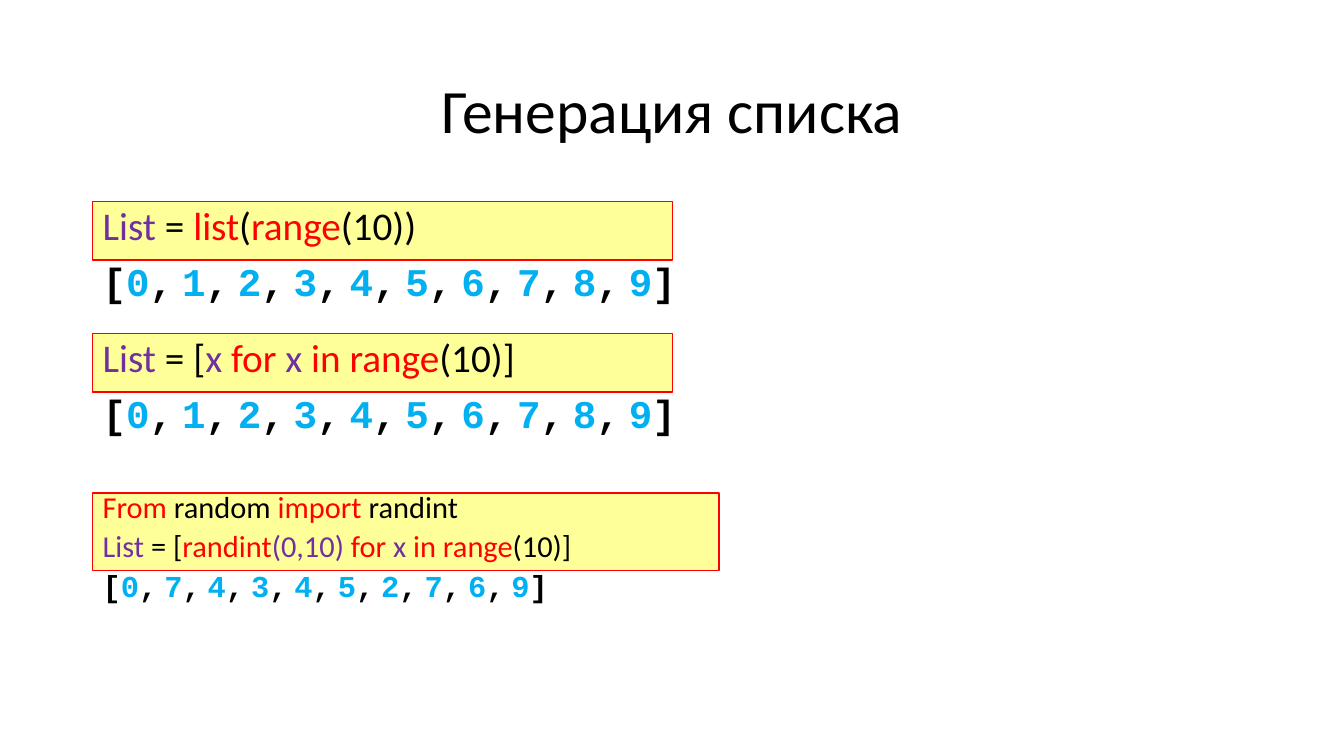
from pptx import Presentation
from pptx.dml.color import RGBColor
from pptx.enum.shapes import MSO_SHAPE as SHAPE
from pptx.enum.text import MSO_ANCHOR as ANCHOR, PP_ALIGN as ALIGN
from pptx.util import Inches, Pt

BLACK, RED, PURPLE, BLUE, YELLOW = "000000", "FF0000", "7030A0", "00B0F0", "FFFF99"
LEFT, WIDTH = 0.92, 11.5


def rgb(color):
    return RGBColor.from_string(color)


def add_text(top, height, lines, size, spacing, before=0, align=ALIGN.LEFT, anchor=ANCHOR.TOP):
    """Add a text box; each line is a list of (text, colour, font, bold) runs."""
    box = s.shapes.add_textbox(Inches(LEFT), Inches(top), Inches(WIDTH), Inches(height))
    tf = box.text_frame
    tf.word_wrap, tf.vertical_anchor = True, anchor
    for i, line in enumerate(lines):
        p = tf.paragraphs[0] if i == 0 else tf.add_paragraph()
        p.alignment, p.line_spacing, p.space_before = align, spacing, Pt(before)
        for text, color, font, bold in line:
            r = p.add_run()
            r.text = text
            for name, value in dict(name=font, size=Pt(size), bold=bold).items():
                setattr(r.font, name, value)
            r.font.color.rgb = rgb(color)


prs = Presentation()
prs.slide_width, prs.slide_height = Inches(13.33), Inches(7.5)
s = prs.slides.add_slide(prs.slide_layouts[6])

add_text(0.4, 1.45, [[("Генерация списка", BLACK, "Calibri", False)]], 44, 0.9,
         align=ALIGN.CENTER, anchor=ANCHOR.MIDDLE)

comprehension_end = [("for ", RED), ("x ", PURPLE), ("in range", RED), ("(10)]", BLACK)]

# top, frame width, frame height, size, line spacing, code lines, printed digits
examples = [
    (2, 5.75, 0.58, 28, 0.9,
     [[("List", PURPLE), (" = ", BLACK), ("list", RED), ("(", BLACK),
       ("range", RED), ("(10))", BLACK)]],
     "0123456789"),
    (3.31, 5.75, 0.58, 28, 0.9,
     [[("List", PURPLE), (" = [", BLACK), ("x ", PURPLE)] + comprehension_end],
     "0123456789"),
    (4.89, 6.21, 0.77, 21.7, 0.7,
     [[("From ", RED), ("random", BLACK), (" import ", RED), ("randint", BLACK)],
      [("List", PURPLE), (" = [", BLACK), ("randint", RED), ("(0,10) ", PURPLE)]
      + comprehension_end],
     "0743452769"),
]

for top, width, height, size, spacing, code, digits in examples:
    frame = s.shapes.add_shape(SHAPE.RECTANGLE, Inches(LEFT), Inches(top),
                               Inches(width), Inches(height))
    frame.shadow.inherit = False
    frame.fill.solid()
    frame.fill.fore_color.rgb = rgb(YELLOW)
    frame.line.color.rgb = rgb(RED)
    frame.line.width = Pt(1)

    lines = [[(text, color, "Calibri", False) for text, color in line] for line in code]
    output = [("[", BLACK, "Courier New", True)]
    for i, digit in enumerate(digits):
        if i:
            output += [(",", BLACK, "Courier New", True), (" ", BLACK, "Calibri", True)]
        output.append((digit, BLUE, "Courier New", True))
    output.append(("]", BLACK, "Courier New", True))
    add_text(top, 1.16, lines + [output], size, spacing, before=10)

prs.save("out.pptx")
